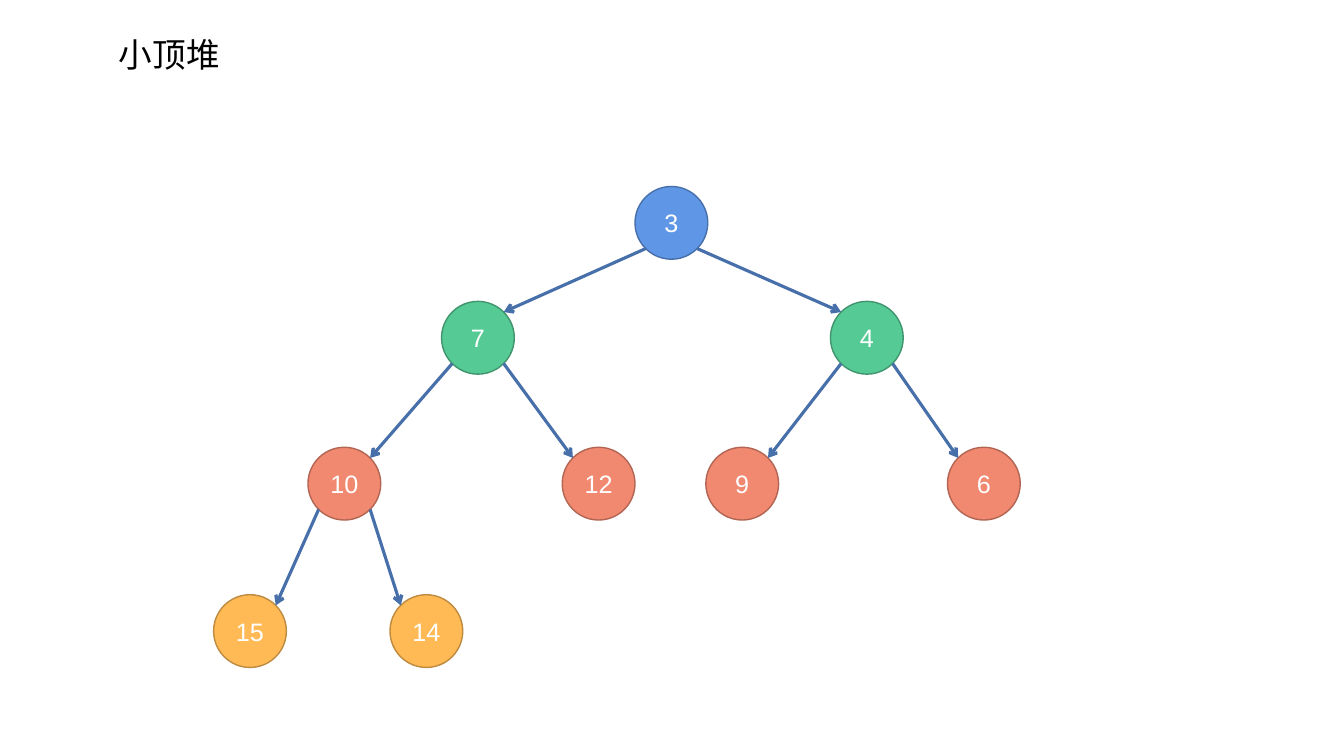
from math import sqrt

from lxml import etree
from pptx import Presentation
from pptx.dml.color import RGBColor
from pptx.enum.shapes import MSO_CONNECTOR, MSO_SHAPE
from pptx.enum.text import MSO_ANCHOR, MSO_AUTO_SIZE, PP_ALIGN
from pptx.oxml.ns import qn
from pptx.util import Pt

OVAL = MSO_SHAPE.OVAL
STRAIGHT = MSO_CONNECTOR.STRAIGHT
LEFT, CENTER = PP_ALIGN.LEFT, PP_ALIGN.CENTER
TOP, MIDDLE = MSO_ANCHOR.TOP, MSO_ANCHOR.MIDDLE
GROW = MSO_AUTO_SIZE.SHAPE_TO_FIT_TEXT

WHITE = RGBColor(0xFF, 0xFF, 0xFF)
BLACK = RGBColor(0x00, 0x00, 0x00)
BLUE = RGBColor(0x60, 0x96, 0xE6)
DARK_BLUE = RGBColor(0x47, 0x6F, 0xAA)
GREEN = RGBColor(0x56, 0xCA, 0x95)
DARK_GREEN = RGBColor(0x40, 0x95, 0x6E)
CORAL = RGBColor(0xF1, 0x88, 0x70)
DARK_CORAL = RGBColor(0xB2, 0x65, 0x53)
AMBER = RGBColor(0xFF, 0xBA, 0x55)
DARK_AMBER = RGBColor(0xBD, 0x8A, 0x3F)

DIAMETER = 52
NEAR = DIAMETER / 2 * (1 - 1 / sqrt(2))
FAR = DIAMETER - NEAR

LEVELS = [
    (133.2, BLUE, DARK_BLUE),
    (215.3, GREEN, DARK_GREEN),
    (319.5, CORAL, DARK_CORAL),
    (424.8, AMBER, DARK_AMBER),
]
HEAP = [
    (3, 453.6),
    (7, 315.4), (4, 593.2),
    (10, 220), (12, 401.6), (9, 504.2), (6, 676.8),
    (15, 152.6), (14, 278.6),
]


def write(tf, text, size=18, color=WHITE, align=CENTER, anchor=MIDDLE, wrap=False):
    tf.word_wrap = wrap
    tf.vertical_anchor = anchor
    p = tf.paragraphs[0]
    p.alignment = align
    r = p.add_run()
    r.text = text
    r.font.name = "Arial"
    r.font.size = Pt(size)
    r.font.color.rgb = color


class HeapSlide:
    def __init__(self, slide, edge_color=DARK_BLUE, edge_width=2.25):
        self.shapes = slide.shapes
        self.edge_color = edge_color
        self.edge_width = edge_width

    def title(self, text, x, y, w, h):
        tf = self.shapes.add_textbox(Pt(x), Pt(y), Pt(w), Pt(h)).text_frame
        write(tf, text, size=24, color=BLACK, align=LEFT, anchor=TOP, wrap=True)
        tf.auto_size = GROW

    def node(self, value, x, y, fill, line):
        sp = self.shapes.add_shape(OVAL, Pt(x), Pt(y), Pt(DIAMETER), Pt(DIAMETER))
        sp.shadow.inherit = False
        sp.fill.solid()
        sp.fill.fore_color.rgb = fill
        sp.line.color.rgb = line
        sp.line.width = Pt(1)
        write(sp.text_frame, str(value))

    def edge(self, x1, y1, x2, y2):
        cn = self.shapes.add_connector(STRAIGHT, Pt(x1), Pt(y1), Pt(x2), Pt(y2))
        cn.line.color.rgb = self.edge_color
        cn.line.width = Pt(self.edge_width)
        etree.SubElement(cn.line._get_or_add_ln(), qn("a:tailEnd"), type="arrow")
        etree.SubElement(cn._element.spPr, qn("a:effectLst"))


def main():
    prs = Presentation()
    prs.slide_width, prs.slide_height = Pt(960), Pt(540)
    s = HeapSlide(prs.slides.add_slide(prs.slide_layouts[6]))
    s.title("小顶堆", 77.8, 20.9, 182.9, 36)

    placed = []
    for i, (value, x) in enumerate(HEAP):
        y, fill, line = LEVELS[(i + 1).bit_length() - 1]
        s.node(value, x, y, fill, line)
        placed.append((x, y))

    for i, (x, y) in enumerate(placed[1:], start=1):
        px, py = placed[(i - 1) // 2]
        start, end = (NEAR, FAR) if i % 2 else (FAR, NEAR)
        s.edge(px + start, py + FAR, x + end, y + NEAR)

    prs.save("out.pptx")


if __name__ == "__main__":
    main()
